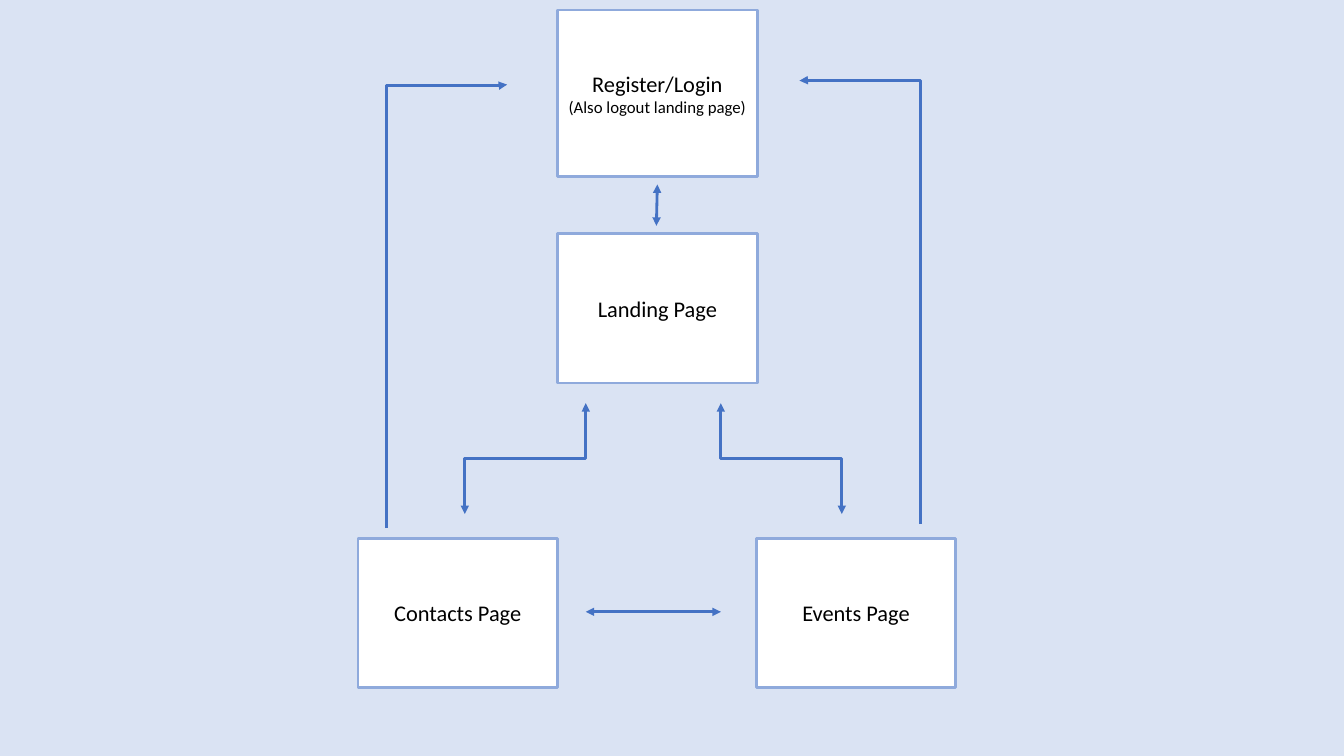
from lxml import etree
from pptx import Presentation
from pptx.dml.color import RGBColor
from pptx.enum.shapes import MSO_CONNECTOR, MSO_SHAPE
from pptx.enum.text import MSO_ANCHOR, PP_ALIGN
from pptx.oxml.ns import qn
from pptx.util import Inches, Pt

RECT = MSO_SHAPE.RECTANGLE
LINE, ELBOW = MSO_CONNECTOR.STRAIGHT, MSO_CONNECTOR.ELBOW
MIDDLE, CENTER = MSO_ANCHOR.MIDDLE, PP_ALIGN.CENTER
PALE = RGBColor(0xDA, 0xE3, 0xF3)
WHITE = RGBColor(0xFF, 0xFF, 0xFF)
BLACK = RGBColor(0, 0, 0)
EDGE = RGBColor(0x8F, 0xAA, 0xDC)
BLUE = RGBColor(0x44, 0x72, 0xC4)

WIDE, TALL = 1.98, 1.48
PAGES = [
    (5.53, 0.1, 1.65, [("Register/Login", 16), ("(Also logout landing page)", 12)]),
    (5.53, 2.32, TALL, [("Landing Page", 16)]),
    (3.55, 5.34, TALL, [("Contacts Page", 16)]),
    (7.5, 5.34, TALL, [("Events Page", 16)]),
]
ONE, BOTH = ["tailEnd"], ["headEnd", "tailEnd"]
BENDS = [
    ((3.83, 5.24), (5.03, 0.84), 99800, ONE),
    ((9.13, 5.2), (7.93, 0.8), 100100, ONE),
    ((5.81, 4), (4.61, 5.1), 50000, BOTH),
    ((8.35, 5.1), (7.15, 4), 50000, BOTH),
]
LINKS = [
    ((6.52, 1.83), (6.51, 2.24)),
    ((5.81, 6.07), (7.15, 6.07)),
]

deck = Presentation()
deck.slide_width, deck.slide_height = Inches(13.33), Inches(7.5)
slide = deck.slides.add_slide(deck.slide_layouts[6])
slide.background.fill.solid()
slide.background.fill.fore_color.rgb = PALE


def add_page(left, top, high, lines):
    box = slide.shapes.add_shape(RECT, *map(Inches, (left, top, WIDE, high)))
    box.shadow.inherit = False
    box.fill.solid()
    box.fill.fore_color.rgb = WHITE
    box.line.color.rgb = EDGE
    box.line.width = Pt(2)
    frame = box.text_frame
    form = {"word_wrap": True, "vertical_anchor": MIDDLE,
            "margin_left": Inches(0.05), "margin_right": Inches(0.05)}
    for key, value in form.items():
        setattr(frame, key, value)
    for i, (text, size) in enumerate(lines):
        para = frame.add_paragraph() if i else frame.paragraphs[0]
        para.alignment = CENTER
        run = para.add_run()
        run.text = text
        for key, value in {"name": "Calibri", "size": Pt(size)}.items():
            setattr(run.font, key, value)
        run.font.color.rgb = BLACK


def add_arrow(kind, start, end, heads):
    arrow = slide.shapes.add_connector(kind, *map(Inches, (*start, *end)))
    arrow.line.color.rgb = BLUE
    arrow.line.width = Pt(2)
    props = arrow._element.spPr
    for head in heads:
        etree.SubElement(props.find(qn("a:ln")), qn("a:" + head), type="triangle")
    etree.SubElement(props, qn("a:effectLst"))
    return props


def add_bend(start, end, bend, heads):
    (x1, y1), (x2, y2) = start, end
    midx, midy = (x1 + x2) / 2, (y1 + y2) / 2
    dx, dy = (x2 - x1) / 2, (y2 - y1) / 2
    props = add_arrow(ELBOW, (midx - dy, midy + dx), (midx + dy, midy - dx), heads)
    props.find(qn("a:xfrm")).set("rot", "5400000")
    guides = props.find(qn("a:prstGeom")).find(qn("a:avLst"))
    etree.SubElement(guides, qn("a:gd"), name="adj1", fmla=f"val {bend}")


for page in PAGES:
    add_page(*page)
for bend in BENDS:
    add_bend(*bend)
for start, end in LINKS:
    add_arrow(LINE, start, end, BOTH)

deck.save("out.pptx")
